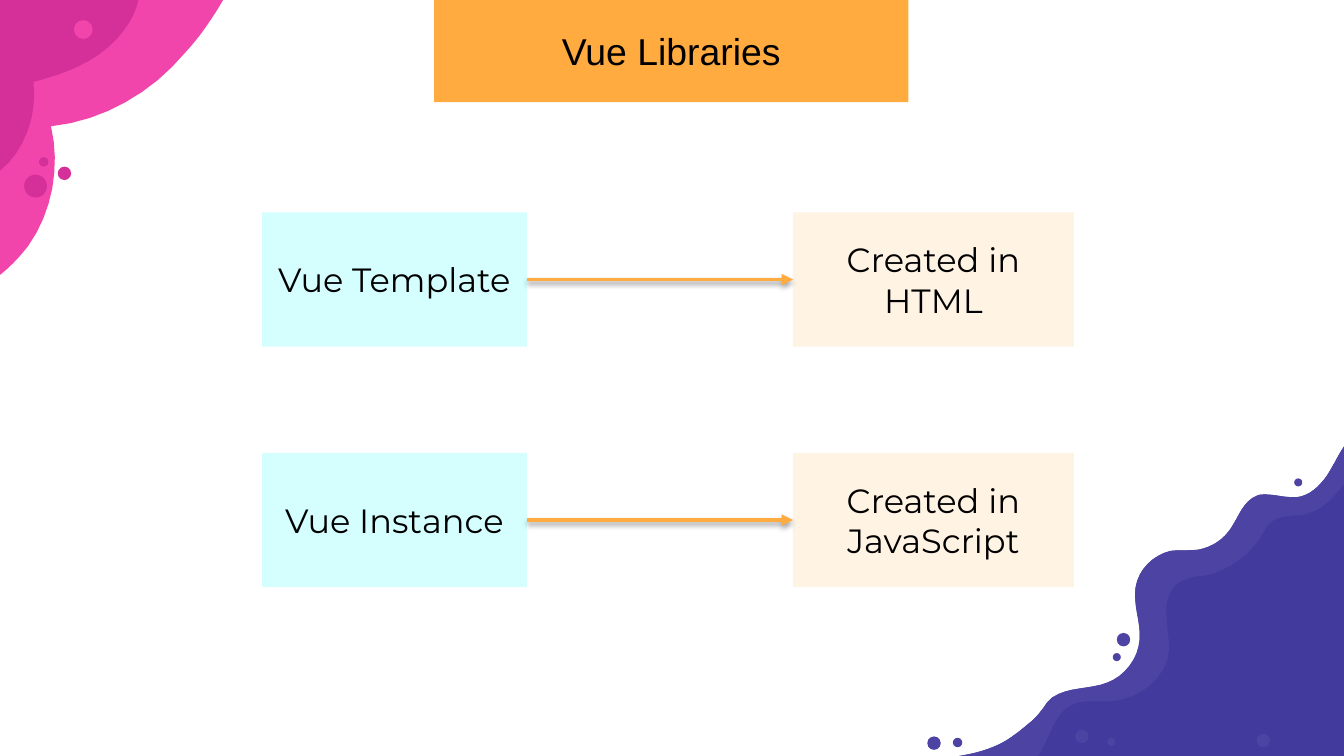
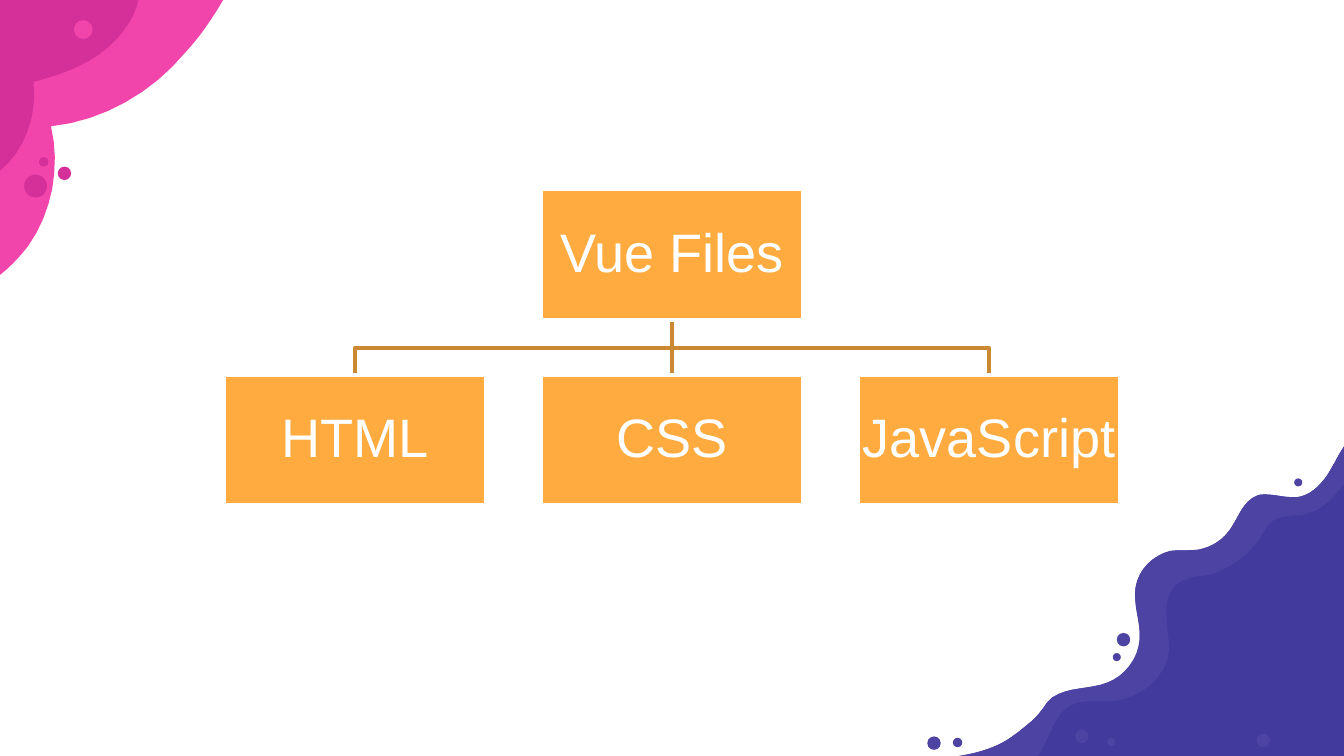
from lxml.etree import SubElement
from pptx import Presentation
from pptx.dml.color import RGBColor
from pptx.enum.shapes import MSO_CONNECTOR, MSO_SHAPE as Preset
from pptx.enum.text import MSO_ANCHOR, MSO_AUTO_SIZE, PP_ALIGN
from pptx.oxml.ns import qn
from pptx.util import Inches, Pt

SLIDE_WIDTH, SLIDE_HEIGHT = Inches(10), Inches(5.625)
COLUMN = SLIDE_WIDTH / 10  # side of a square grid cell
OUTLINE_STEPS = 1000       # freeform steps per cell
CURVE_PIECES = 8
TITLE_ONLY, BLANK = 5, 6
TOP, LEFT, BOTTOM, RIGHT = 0, 1, 2, 3

ORANGE, BROWN, WHITE, BLACK = "FFAB40", "CC8933", "FFFFFF", "000000"
AQUA, CREAM = "D5FFFF", "FFEED9"
PINK, MAGENTA, INDIGO, VIOLET = "F145AB", "D5309A", "423A9C", "4D43A3"

TITLE_FONT = {"name": "Arial", "size": Pt(20), "color": BLACK}
BOX_FONT = {"name": "Montserrat", "size": Pt(18), "color": BLACK}
NODE_FONT = {"name": "Arial", "size": Pt(29), "color": WHITE}
NODE_INSETS = {f"margin_{side}": Inches(0.02)
               for side in ("left", "top", "right", "bottom")}

# Outlines: two numbers are a point, six are a Bezier curve to the last pair.
PINK_CLOUD = [
    (-0.12, 0), (-0.12, 2.13),
    (0, 2.06, 0.12, 1.95, 0.21, 1.83), (0.39, 1.58, 0.45, 1.24, 0.38, 0.94),
    (0.77, 0.9, 1.13, 0.69, 1.38, 0.39), (1.49, 0.27, 1.58, 0.14, 1.66, 0),
]
MAGENTA_CLOUD = [
    (0, 0), (0, 1.27),
    (0.18, 1.13, 0.28, 0.86, 0.25, 0.61), (0.48, 0.55, 0.7, 0.47, 0.87, 0.29),
    (0.94, 0.21, 1.01, 0.11, 1.03, 0),
]
WAVE_EDGE = [
    (10.08, 3.23),
    (10.06, 3.25, 10.05, 3.26, 10.03, 3.28), (9.97, 3.36, 9.93, 3.45, 9.88, 3.53),
    (9.82, 3.62, 9.74, 3.69, 9.65, 3.7), (9.64, 3.7, 9.63, 3.7, 9.62, 3.7),
    (9.55, 3.7, 9.48, 3.68, 9.42, 3.68), (9.39, 3.68, 9.37, 3.68, 9.35, 3.69),
    (9.25, 3.73, 9.22, 3.84, 9.16, 3.93), (9.11, 4.01, 9.02, 4.07, 8.92, 4.09),
    (8.85, 4.1, 8.78, 4.09, 8.71, 4.1), (8.58, 4.13, 8.47, 4.24, 8.45, 4.37),
    (8.43, 4.5, 8.49, 4.63, 8.48, 4.76), (8.47, 4.9, 8.37, 5.03, 8.24, 5.08),
    (8.11, 5.13, 7.95, 5.11, 7.83, 5.19), (7.82, 5.2, 7.8, 5.22, 7.79, 5.23),
    (7.75, 5.29, 7.71, 5.34, 7.66, 5.38), (7.6, 5.43, 7.54, 5.48, 7.47, 5.52),
    (7.38, 5.57, 7.28, 5.6, 7.17, 5.62), (6.95, 5.66),
]
INNER_EDGE = [
    (7.7, 5.66),
    (7.74, 5.61, 7.77, 5.55, 7.79, 5.5), (7.84, 5.4, 7.88, 5.28, 7.99, 5.24),
    (8.03, 5.22, 8.08, 5.22, 8.12, 5.22), (8.16, 5.22, 8.2, 5.22, 8.25, 5.22),
    (8.47, 5.21, 8.68, 5.05, 8.7, 4.84), (8.7, 4.75, 8.68, 4.67, 8.68, 4.58),
    (8.67, 4.5, 8.69, 4.41, 8.75, 4.35), (8.81, 4.3, 8.9, 4.29, 8.98, 4.28),
    (9.15, 4.24, 9.3, 4.13, 9.39, 3.98), (9.41, 3.95, 9.42, 3.92, 9.44, 3.9),
    (9.52, 3.82, 9.64, 3.85, 9.74, 3.82), (9.9, 3.77, 9.98, 3.61, 10.1, 3.5),
    (10.23, 3.37, 10.4, 3.3, 10.58, 3.26), (10.58, 3.23),
]
SPLASHES = [
    (PINK, PINK_CLOUD),
    (MAGENTA, MAGENTA_CLOUD),
    (INDIGO, WAVE_EDGE + [(10.58, 5.66), (10.58, 3.23)]),
    (VIOLET, WAVE_EDGE + INNER_EDGE),
]
# Left, top and diameter of each dot, by colour.
DOTS = {
    PINK: [(0.55, 0.15, 0.14)],
    MAGENTA: [(0.43, 1.24, 0.1), (0.18, 1.3, 0.17), (0.29, 1.17, 0.07)],
    VIOLET: [(8, 5.43, 0.1), (9.35, 5.46, 0.1), (8.24, 5.49, 0.06),
             (8.28, 4.86, 0.06), (7.09, 5.49, 0.07), (9.63, 3.56, 0.06),
             (8.31, 4.71, 0.1), (6.9, 5.48, 0.1)],
}


def cells(*values):
    return [round(value * COLUMN) for value in values]


def rgb(color):
    return RGBColor.from_string(color)


def paint(shape, fill=None, line=None, alpha=None):
    """Set fill and 2 pt line, leaving out what has no colour; alpha is in percent."""
    shape.shadow.inherit = False
    if fill:
        shape.fill.solid()
        shape.fill.fore_color.rgb = rgb(fill)
    else:
        shape.fill.background()
    if alpha:
        color = shape.fill._xPr.find(f".//{qn('a:srgbClr')}")
        SubElement(color, qn("a:alpha"), val=str(alpha * 1000))
    if line:
        shape.line.color.rgb = rgb(line)
        shape.line.width = Pt(2)
    else:
        shape.line.fill.background()


def write(shape, text, font, line_spacing=None, **frame_format):
    frame = shape.text_frame
    frame.text = text
    defaults = {"word_wrap": True, "vertical_anchor": MSO_ANCHOR.MIDDLE,
                "auto_size": MSO_AUTO_SIZE.NONE}
    for name, value in {**defaults, **frame_format}.items():
        setattr(frame, name, value)
    paragraph = frame.paragraphs[0]
    paragraph.alignment = PP_ALIGN.CENTER
    paragraph.line_spacing = line_spacing
    for name, value in font.items():
        if name == "color":
            paragraph.font.color.rgb = rgb(value)
        else:
            setattr(paragraph.font, name, value)


def add_box(slide, place, fill, preset=Preset.RECTANGLE, **look):
    shape = slide.shapes.add_shape(preset, *cells(*place))
    paint(shape, fill, **look)
    return shape


def flatten(outline):
    """Turn points and Bezier curves into points only."""
    points = []
    for segment in outline:
        if len(segment) == 2:
            points.append(segment)
            continue
        controls = [points[-1], segment[:2], segment[2:4], segment[4:]]
        for piece in range(1, CURVE_PIECES + 1):
            t = piece / CURVE_PIECES
            weights = ((1 - t) ** 3, 3 * t * (1 - t) ** 2, 3 * t * t * (1 - t), t ** 3)
            points.append(tuple(
                sum(weight * control[axis] for weight, control in zip(weights, controls))
                for axis in (0, 1)))
    return points


def add_outline(slide, outline, close=True, **look):
    points = [(x * OUTLINE_STEPS, y * OUTLINE_STEPS) for x, y in flatten(outline)]
    builder = slide.shapes.build_freeform(*points[0], scale=COLUMN / OUTLINE_STEPS)
    builder.add_line_segments(points[1:], close=close)
    shape = builder.convert_to_shape()
    paint(shape, **look)
    return shape


def add_line(slide, start, end, color):
    line = slide.shapes.add_connector(MSO_CONNECTOR.STRAIGHT, *cells(*start, *end))
    line.line.color.rgb = rgb(color)
    line.line.width = Pt(2)
    effects = SubElement(line.element.spPr, qn("a:effectLst"))
    return line, effects


def join(line, first, first_side, second, second_side):
    line.begin_connect(first, first_side)
    line.end_connect(second, second_side)


def add_arrow(slide, source, target):
    """Join two boxes, right side to left side, with a softly shadowed arrow."""
    arrow, effects = add_line(slide, (0, 0), (1, 0), ORANGE)
    join(arrow, source, RIGHT, target, LEFT)
    SubElement(arrow.line._get_or_add_ln(), qn("a:tailEnd"), type="triangle")
    shadow = SubElement(effects, qn("a:outerShdw"), blurRad=str(Pt(3.1)),
                        dist=str(Pt(1.6)), dir="5400000", rotWithShape="0")
    color = SubElement(shadow, qn("a:srgbClr"), val=BLACK)
    SubElement(color, qn("a:alpha"), val="38000")


def decorate_master(presentation, slide):
    """Draw the corner splashes on a slide, then move them to its master."""
    splashes = [add_outline(slide, outline, fill=color) for color, outline in SPLASHES]
    dots = [add_box(slide, (left, top, size, size), color, Preset.OVAL)
            for color, places in DOTS.items() for left, top, size in places]
    for shape in splashes + dots:
        presentation.slide_master.shapes.element.append(shape.element)


def add_title_band(slide, text):
    title = slide.shapes.title
    title.left, title.top, title.width, title.height = cells(3.23, -0.01, 3.53, 0.77)
    geometry = SubElement(title.element.spPr, qn("a:prstGeom"), prst="round2SameRect")
    guides = SubElement(geometry, qn("a:avLst"))
    for name, value in (("adj1", 0), ("adj2", 19800)):
        SubElement(guides, qn("a:gd"), name=name, fmla=f"val {value}")
    paint(title, ORANGE)
    write(title, text, TITLE_FONT)


def fill_libraries_slide(slide):
    first_top, row_step = 1.58, 1.79
    rows = [("Vue Template", "Created in HTML"), ("Vue Instance", "Created in JavaScript")]
    for row, (part, origin) in enumerate(rows):
        top = first_top + row * row_step
        part_box = add_box(slide, (1.95, top, 1.97, 1), AQUA)
        origin_box = add_box(slide, (5.9, top, 2.09, 1), CREAM, alpha=70)
        write(part_box, part, BOX_FONT)
        write(origin_box, origin, BOX_FONT)
        add_arrow(slide, part_box, origin_box)
    add_title_band(slide, "Vue Libraries")


def add_node(slide, text, center, top):
    width, height = 1.95, 0.97
    node = add_box(slide, (center - width / 2, top, width, height), ORANGE, line=WHITE)
    write(node, text, NODE_FONT, line_spacing=0.9, **NODE_INSETS)
    return node


def fill_files_slide(slide):
    center, step = 5, 2.36
    root_top, root_bottom, fork, child_top = 1.41, 2.38, 2.59, 2.79
    for x in (center + step, center - step):
        add_outline(slide, [(center, root_bottom), (center, fork), (x, fork), (x, child_top)],
                    close=False, line=BROWN)
    stem, _ = add_line(slide, (center, root_bottom), (center, child_top), BROWN)
    root = add_node(slide, "Vue Files", center, root_top)
    children = [add_node(slide, text, center + place * step, child_top)
                for place, text in enumerate(("HTML", "CSS", "JavaScript"), -1)]
    join(stem, root, BOTTOM, children[1], TOP)


def main():
    presentation = Presentation()
    presentation.slide_width, presentation.slide_height = SLIDE_WIDTH, SLIDE_HEIGHT
    libraries, files = (presentation.slides.add_slide(presentation.slide_layouts[index])
                        for index in (TITLE_ONLY, BLANK))
    decorate_master(presentation, libraries)
    fill_libraries_slide(libraries)
    fill_files_slide(files)
    presentation.save("out.pptx")


if __name__ == "__main__":
    main()
